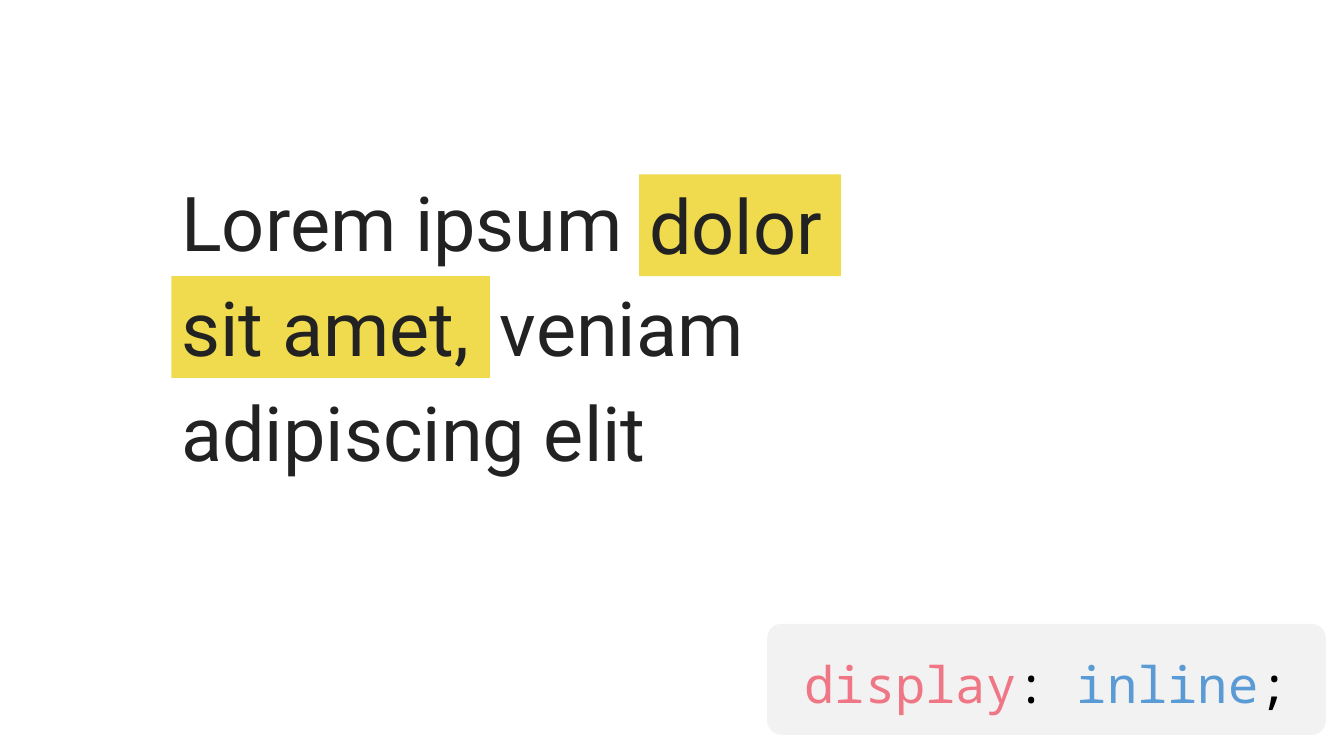
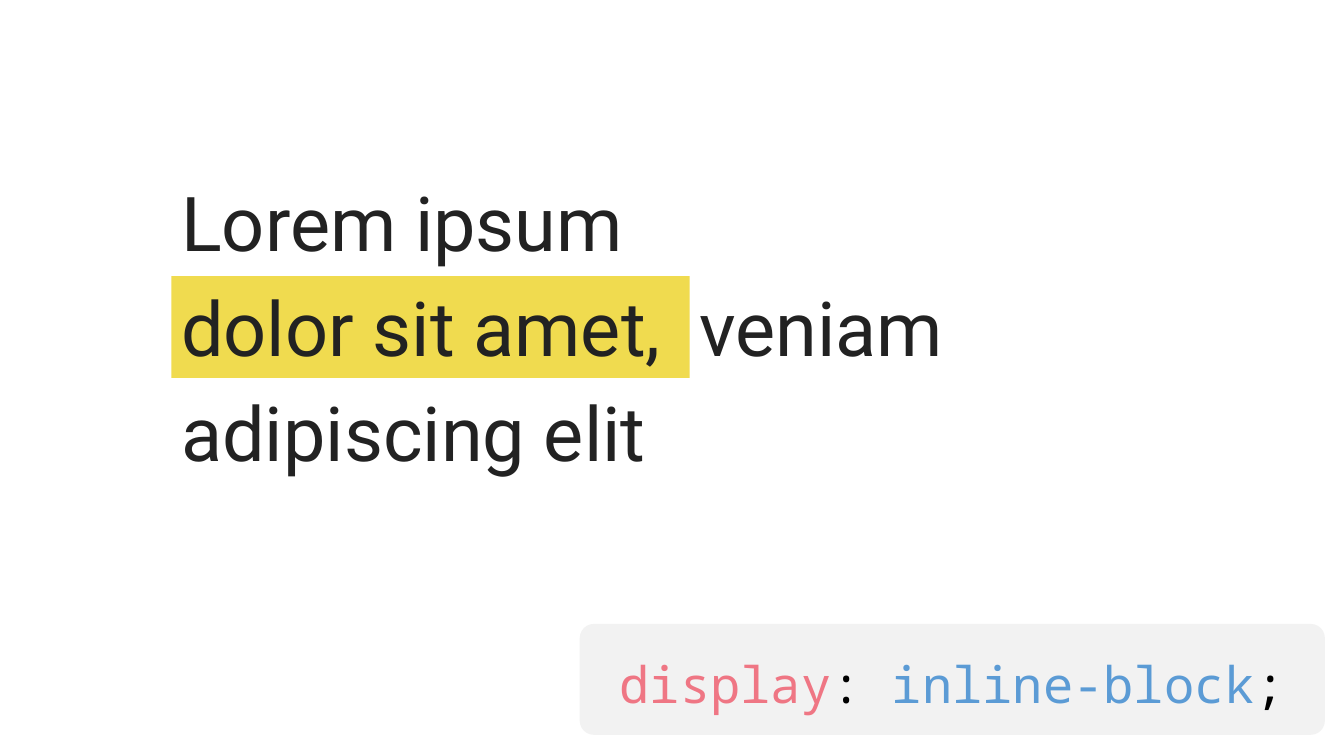
"""Build two slides contrasting inline and inline-block layout in CSS."""
from dataclasses import dataclass

from pptx import Presentation
from pptx import util as u
from pptx.dml.color import RGBColor
from pptx.enum import shapes, text

PX = 9144
COLORS = {
    "ink": "222222",
    "highlight": "F0DB4F",
    "panel": "F2F2F2",
    "property": "EF7684",
    "punctuation": "000000",
    "value": "5B9BD5",
}
BODY_FONT, BODY_SIZE = "Roboto", 54
CODE_FONT, CODE_SIZE = "Noto Sans Mono", 36
LEFT, LINE_HEIGHT = 170, 101
FIRST_LINE, SECOND_LINE, THIRD_LINE = 170, 274, 378
CODE_TOP, CODE_HEIGHT = 619, 110
CODE_RADIUS = 0.127
CODE_INSETS = (30, 25)


@dataclass(frozen=True)
class Phrase:
    words: str
    left: int
    top: int
    width: int
    highlighted: bool = False


@dataclass(frozen=True)
class Example:
    value: str
    code_left: int
    code_width: int
    phrases: tuple[Phrase, ...]


SHARED_PHRASES = (
    Phrase("Lorem ipsum", LEFT, FIRST_LINE, 830),
    Phrase("adipiscing elit", LEFT, THIRD_LINE, 497),
)
EXAMPLES = (
    Example("inline", 761, 554, (
        Phrase("sit amet,", LEFT, SECOND_LINE, 316, True),
        Phrase("dolor", 634, 173, 200, True),
        Phrase("veniam", LEFT + 316, SECOND_LINE, 268),
    )),
    Example("inline-block", 575, 739, (
        Phrase("dolor sit amet,", LEFT, SECOND_LINE, 514, True),
        Phrase("veniam", LEFT + 514, SECOND_LINE, 268),
    )),
)


def px(length: int) -> u.Emu:
    return u.Emu(length * PX)


def style_run(run, font: str, size: int, color: str) -> None:
    run.font.name = font
    run.font.size = u.Pt(size)
    run.font.color.rgb = RGBColor.from_string(COLORS[color])


def add_panel(slide, kind, box: tuple[int, int, int, int], color: str):
    shape = slide.shapes.add_shape(kind, *map(px, box))
    shape.shadow.inherit = False
    shape.fill.solid()
    shape.fill.fore_color.rgb = RGBColor.from_string(COLORS[color])
    shape.line.fill.background()
    return shape


def add_phrase(slide, phrase: Phrase) -> None:
    box = (phrase.left, phrase.top, phrase.width, LINE_HEIGHT)
    if phrase.highlighted:
        shape = add_panel(slide, shapes.MSO_SHAPE.RECTANGLE, box, "highlight")
    else:
        shape = slide.shapes.add_textbox(*map(px, box))
    frame = shape.text_frame
    frame.word_wrap = True
    frame.vertical_anchor = text.MSO_ANCHOR.TOP
    frame.text = phrase.words
    paragraph = frame.paragraphs[0]
    paragraph.alignment = text.PP_ALIGN.LEFT
    style_run(paragraph.runs[0], BODY_FONT, BODY_SIZE, "ink")


def add_code(slide, example: Example) -> None:
    box = (example.code_left, CODE_TOP, example.code_width, CODE_HEIGHT)
    shape = add_panel(slide, shapes.MSO_SHAPE.ROUNDED_RECTANGLE, box, "panel")
    shape.adjustments[0] = CODE_RADIUS
    frame = shape.text_frame
    frame.word_wrap = True
    frame.vertical_anchor = text.MSO_ANCHOR.TOP
    frame.margin_left = frame.margin_right = px(CODE_INSETS[0])
    frame.margin_top = frame.margin_bottom = px(CODE_INSETS[1])
    paragraph = frame.paragraphs[0]
    paragraph.alignment = text.PP_ALIGN.CENTER
    tokens = (
        ("display", "property"),
        (": ", "punctuation"),
        (example.value, "value"),
        (";", "punctuation"),
    )
    for token, color in tokens:
        run = paragraph.add_run()
        run.text = token
        style_run(run, CODE_FONT, CODE_SIZE, color)


def main() -> None:
    presentation = Presentation()
    presentation.slide_width = px(1333)
    presentation.slide_height = px(750)
    for example in EXAMPLES:
        slide = presentation.slides.add_slide(presentation.slide_layouts[6])
        for phrase in SHARED_PHRASES + example.phrases:
            add_phrase(slide, phrase)
        add_code(slide, example)
    presentation.save("out.pptx")


if __name__ == "__main__":
    main()
